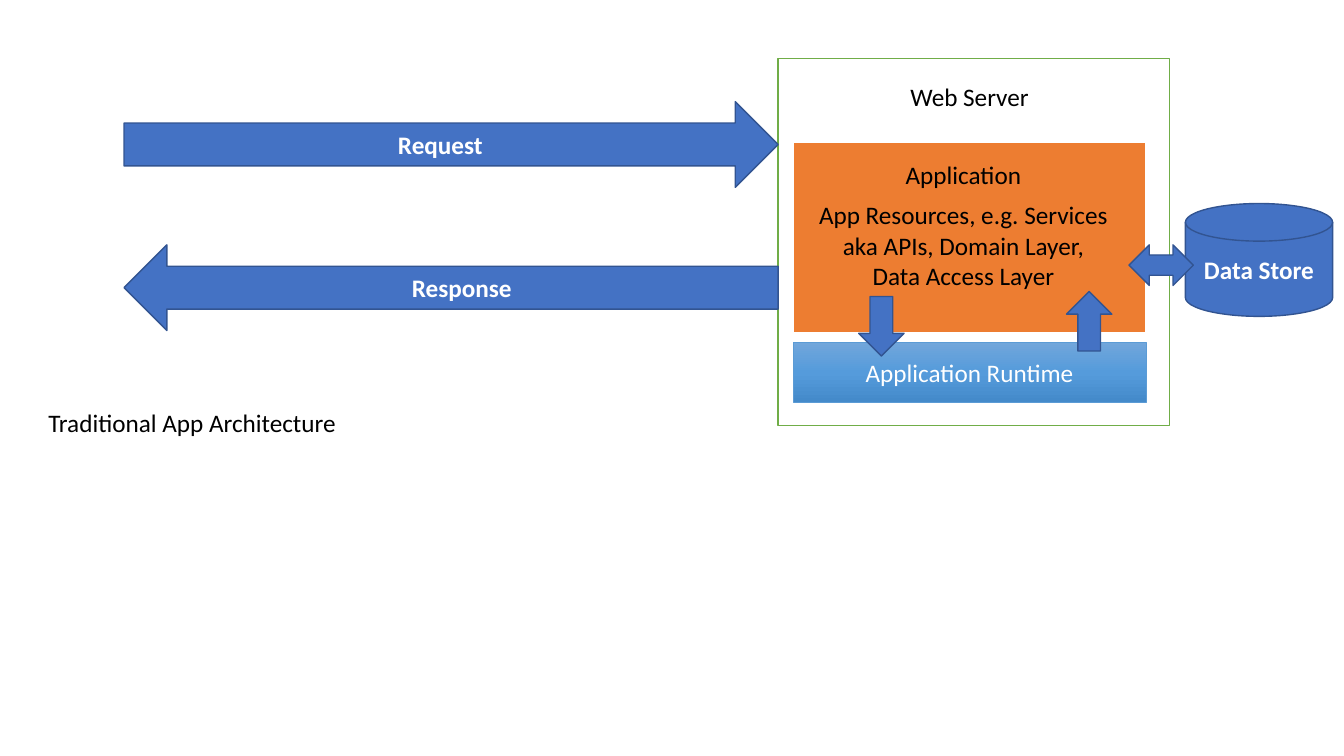
from collections import namedtuple
from copy import deepcopy

from pptx import Presentation
from pptx.dml.color import RGBColor
from pptx.enum.shapes import MSO_SHAPE as Shape
from pptx.enum.text import MSO_ANCHOR as Anchor, PP_ALIGN as Align
from pptx.oxml.ns import qn
from pptx.util import Pt

Box = namedtuple("Box", "left top width height")
BLACK, WHITE = "000000", "FFFFFF"
BLUE, BLUE_EDGE = "4472C4", "325491"


def color(hex_code):
    """Turn a hex string into a colour."""
    return RGBColor.from_string(hex_code)


def inside(box, left, top, width, height):
    """Return a box placed relative to the corner of another."""
    return Box(box.left + left, box.top + top, width, height)


def write(target, text, ink, align=Align.CENTER, bold=False):
    """Write one wrapped paragraph into a shape or text box."""
    frame = target.text_frame
    frame.word_wrap = True
    para = frame.paragraphs[0]
    para.text = text
    para.alignment = align
    font = para.font
    font.name, font.size, font.bold = "Calibri", Pt(18), bold
    font.color.rgb = color(ink)


def add_label(page, box, text, align=Align.CENTER):
    """Add black text without a frame."""
    write(page.shapes.add_textbox(*map(Pt, box)), text, BLACK, align)


def add_block(page, kind, box, fill=BLUE, edge=BLUE_EDGE, weight=1, text="", bold=True):
    """Add a filled, outlined shape with optional white centred text."""
    block = page.shapes.add_shape(kind, *map(Pt, box))
    block.shadow.inherit = False
    block.fill.solid()
    block.fill.fore_color.rgb = color(fill)
    block.line.color.rgb = color(edge)
    block.line.width = Pt(weight)
    if text:
        block.text_frame.vertical_anchor = Anchor.MIDDLE
        write(block, text, WHITE, bold=bold)
    return block


def shade_down(block, top, middle, bottom):
    """Give a shape a three-colour gradient from top to bottom."""
    block.fill.gradient()
    block.fill.gradient_angle = 270
    first = block.element.spPr.find(qn("a:gradFill")).find(qn("a:gsLst"))[0]
    first.addnext(deepcopy(first))
    shades = zip(block.fill.gradient_stops, (0, 0.5, 1), (top, middle, bottom))
    for stop, position, shade in shades:
        stop.position = position
        stop.color.rgb = color(shade)


def draw_messages(page, box):
    """Draw the request arrow above the response arrow."""
    height = 61.2
    messages = (("Request", Shape.RIGHT_ARROW), ("Response", Shape.LEFT_ARROW))
    for index, (text, kind) in enumerate(messages):
        top = index * (box.height - height)
        add_block(page, kind, inside(box, 0, top, box.width, height), text=text)


def draw_application(page, box):
    """Draw the application with its resources."""
    add_block(page, Shape.RECTANGLE, box, "ED7D31", WHITE, 1.5)
    add_label(page, inside(box, 10, 8.6, 223.2, 29), "Application")
    add_label(page, inside(box, 10, 37.4, 223.2, 72.7),
              "App Resources, e.g. Services aka APIs, Domain Layer, Data Access Layer")


def draw_server(page, box):
    """Draw the web server with its application, runtime and arrows."""
    margin, width = 10.8, 252
    add_block(page, Shape.RECTANGLE, box, WHITE, "70AD47")
    add_label(page, inside(box, margin, 13, width, 29), "Web Server")
    draw_application(page, inside(box, margin, 59.8, width, 136))
    runtime = add_block(page, Shape.RECTANGLE, inside(box, margin, 203, width, 42.5),
                        edge="5B9BD5", weight=0.5, text="Application Runtime", bold=False)
    shade_down(runtime, "71A6DB", "559BDB", "448ACA")
    add_block(page, Shape.DOWN_ARROW, inside(box, 57.6, 170, 32.4, 42.5))
    add_block(page, Shape.UP_ARROW, inside(box, 206, 166.4, 32.4, 42.5))


def draw_store(page, box):
    """Draw the data store and the two-way arrow on its left."""
    add_block(page, Shape.FLOWCHART_MAGNETIC_DISK, box, text="Data Store")
    add_block(page, Shape.LEFT_RIGHT_ARROW, inside(box, -40.3, 29.5, 46, 29))


def main():
    """Build and save the slide."""
    deck = Presentation()
    deck.slide_width, deck.slide_height = Pt(960), Pt(540)
    page = deck.slides.add_slide(deck.slide_layouts[6])
    draw_server(page, Box(555.8, 41.8, 279.4, 262))
    draw_store(page, Box(846.7, 145.4, 105.2, 80.6))
    draw_messages(page, Box(88.6, 72.6, 467.2, 163.5))
    add_label(page, Box(27.4, 287.3, 388.8, 29), "Traditional App Architecture", Align.LEFT)
    deck.save("out.pptx")


if __name__ == "__main__":
    main()
